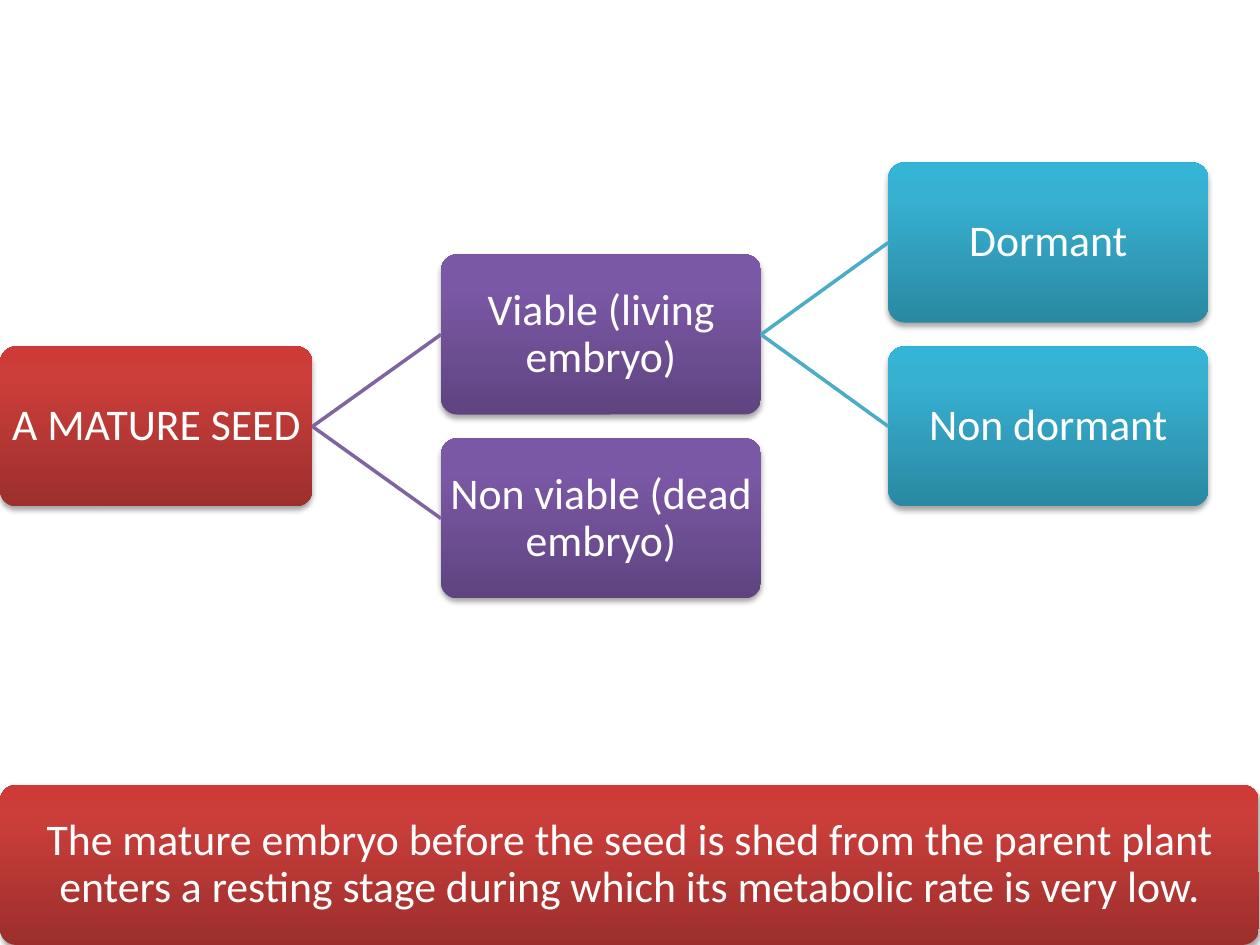
from dataclasses import dataclass

import pptx
import pptx.dml.color
import pptx.enum.shapes
import pptx.enum.text
import pptx.util
from lxml import etree
from pptx.oxml.ns import qn
from pptx.util import Inches


@dataclass(frozen=True)
class Palette:
    """Gradient colours from bottom to top, and the connector colour."""
    stops: tuple[str, str, str]
    line: str = ""


@dataclass(frozen=True)
class Theme:
    """Colours and type of the slide."""
    red: Palette = Palette(("9C2F2D", "CB3E3A", "CE3B37"))
    purple: Palette = Palette(("5F4480", "7B58A6", "7C57A8"), "8064A2")
    teal: Palette = Palette(("2A88A2", "37B1D2", "34B4D6"), "4BACC6")
    text: str = "FFFFFF"
    shadow: str = "000000"
    font: str = "Calibri"
    size: float = 25


@dataclass(frozen=True)
class Box:
    """A rounded box; parent is the key of the box it branches from."""
    key: str
    text: str
    x: float
    y: float
    width: float
    palette: Palette
    parent: str = ""


THEME = Theme()
BOX_H, BOX_W = 1.27, 2.54
STOP_POSITIONS = (0, 80, 100)
COL_2, COL_3 = 3.5, 7.05
BOXES = [
    Box("seed", "A MATURE SEED", 0, 2.75, 2.48, THEME.red),
    Box("viable", "Viable (living embryo)", COL_2, 2.02, BOX_W, THEME.purple, "seed"),
    Box("dormant", "Dormant", COL_3, 1.29, BOX_W, THEME.teal, "viable"),
    Box("non_dormant", "Non dormant", COL_3, 2.75, BOX_W, THEME.teal, "viable"),
    Box("non_viable", "Non viable (dead embryo)", COL_2, 3.48, BOX_W, THEME.purple, "seed"),
    Box("resting", "The mature embryo before the seed is shed from the parent plant "
        "enters a resting stage during which its metabolic rate is very low.",
        0, 6.23, 9.99, THEME.red),
]


def rgb(value: str) -> pptx.dml.color.RGBColor:
    """Turn a hex string into a colour."""
    return pptx.dml.color.RGBColor.from_string(value)


def add_xml_color(parent, value: str):
    """Append an RGB colour element and return it."""
    return etree.SubElement(parent, qn("a:srgbClr"), val=value)


def fill_gradient(sp, palette: Palette) -> None:
    """Fill a shape with a three-stop gradient running upwards."""
    sp.fill.gradient()
    sp.fill.gradient_angle = 90
    stops = sp._element.spPr.find(".//" + qn("a:gsLst"))
    for stop in list(stops):
        stops.remove(stop)
    for position, color in zip(STOP_POSITIONS, palette.stops):
        stop = etree.SubElement(stops, qn("a:gs"), pos=str(position * 1000))
        add_xml_color(stop, color)


def add_shadow(sp) -> None:
    """Give a shape a soft shadow below it."""
    sp.shadow.inherit = False
    effects = sp._element.spPr.find(qn("a:effectLst"))
    shadow = etree.SubElement(
        effects, qn("a:outerShdw"), blurRad=str(pptx.util.Pt(3.1)),
        dist=str(pptx.util.Pt(1.8)), dir="5400000", rotWithShape="0")
    color = add_xml_color(shadow, THEME.shadow)
    etree.SubElement(color, qn("a:alpha"), val="35000")


def add_box(slide, box: Box):
    """Draw a rounded box with its centred text."""
    sp = slide.shapes.add_shape(
        pptx.enum.shapes.MSO_SHAPE.ROUNDED_RECTANGLE,
        Inches(box.x), Inches(box.y), Inches(box.width), Inches(BOX_H))
    sp.adjustments[0] = 0.1
    fill_gradient(sp, box.palette)
    sp.line.fill.background()
    add_shadow(sp)

    tf = sp.text_frame
    tf.word_wrap = True
    tf.vertical_anchor = pptx.enum.text.MSO_ANCHOR.MIDDLE
    tf.margin_left = tf.margin_right = tf.margin_top = tf.margin_bottom = Inches(0.02)
    p = tf.paragraphs[0]
    p.alignment = pptx.enum.text.PP_ALIGN.CENTER
    p.line_spacing = 0.9
    r = p.add_run()
    r.text = box.text
    r.font.name = THEME.font
    r.font.size = pptx.util.Pt(THEME.size)
    r.font.color.rgb = rgb(THEME.text)
    return sp


def add_branch(slide, parent, child, color: str) -> None:
    """Join the right side of the parent to the left side of the child."""
    line = slide.shapes.add_connector(
        pptx.enum.shapes.MSO_CONNECTOR.STRAIGHT, 0, 0, 0, 0)
    line.begin_connect(parent, 3)
    line.end_connect(child, 1)
    line.line.color.rgb = rgb(color)
    line.line.width = pptx.util.Pt(2)
    etree.SubElement(line._element.spPr, qn("a:effectLst"))


def main() -> None:
    """Build and save the slide."""
    prs = pptx.Presentation()
    prs.slide_width, prs.slide_height = Inches(10), Inches(7.5)
    slide = prs.slides.add_slide(prs.slide_layouts[6])
    drawn = {}
    for box in BOXES:
        drawn[box.key] = add_box(slide, box)
        if box.parent:
            add_branch(slide, drawn[box.parent], drawn[box.key], box.palette.line)
    prs.save("out.pptx")


main()
